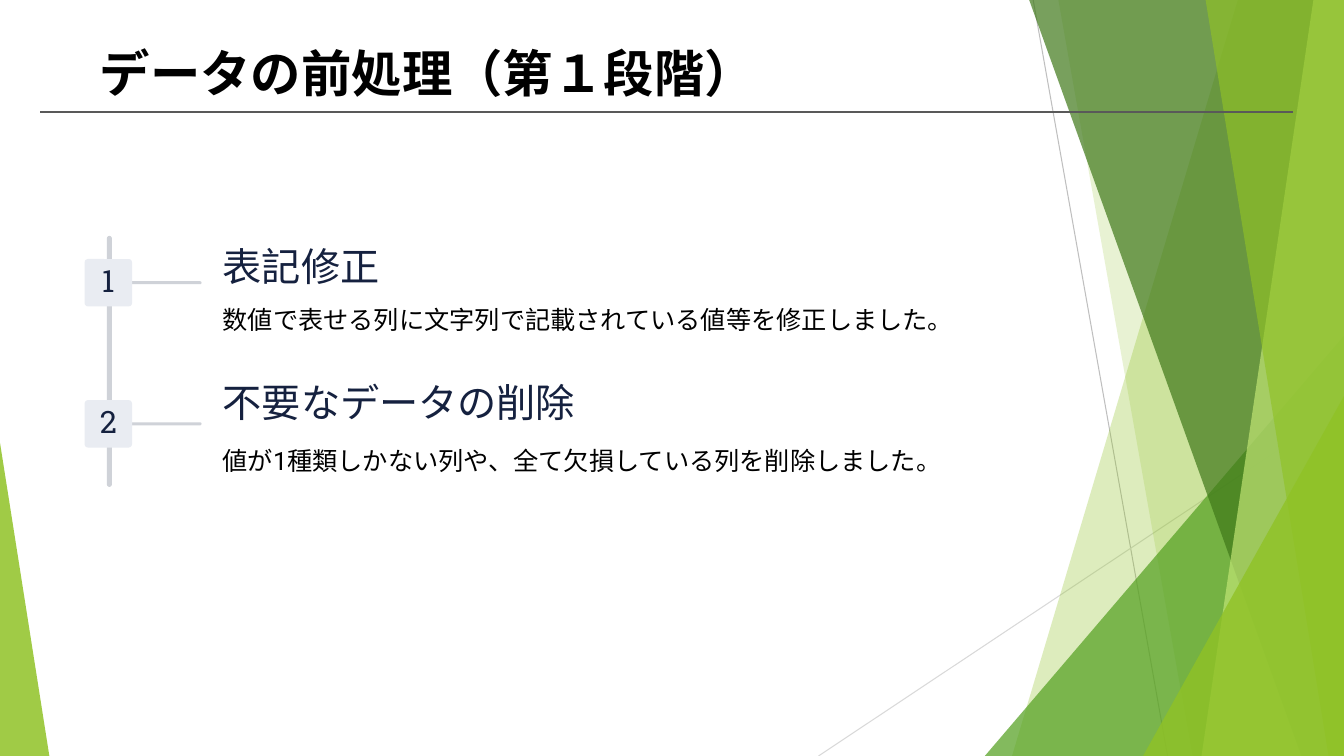
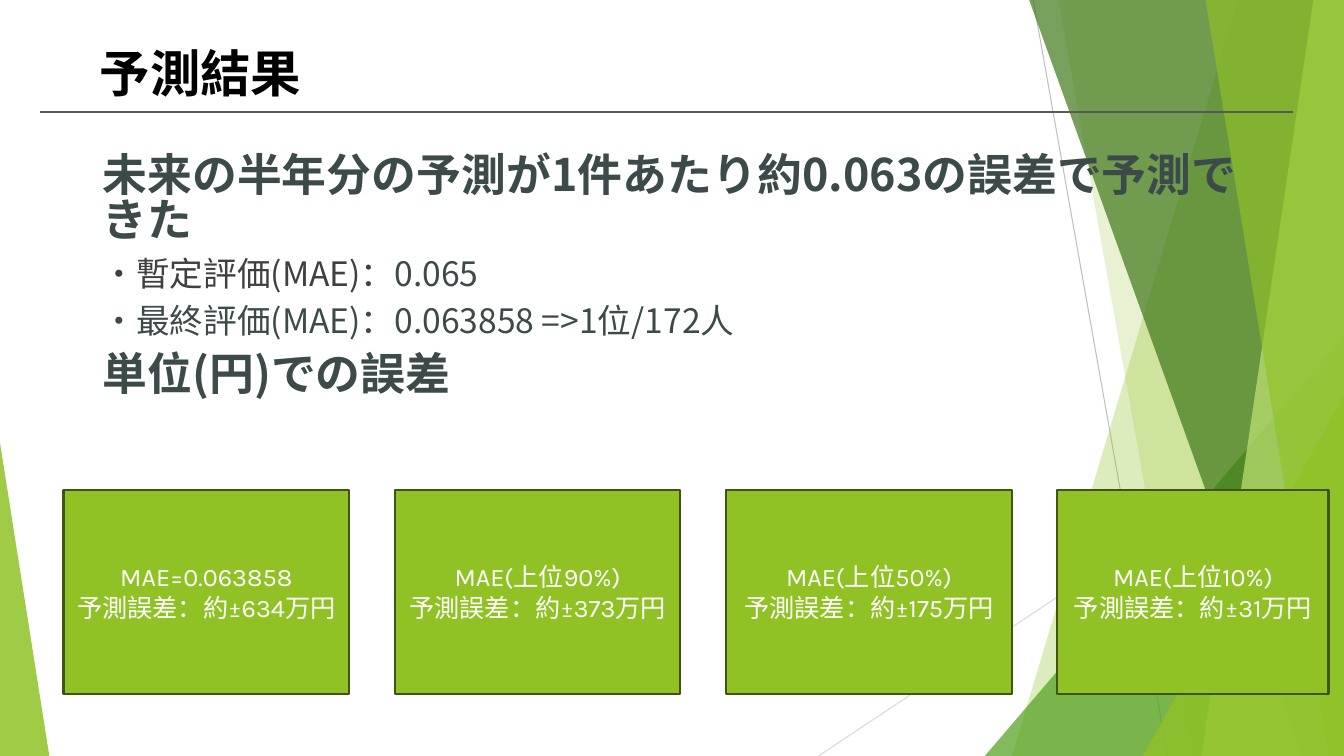
import lxml.etree
import pptx
import pptx.dml.color
import pptx.enum.shapes
import pptx.enum.text
import pptx.oxml.ns
import pptx.util

COLORS = {
    "green": "90C226", "leaf": "54A021", "forest": "3F7819", "lime": "C0E474",
    "moss": "3F5511", "silver": "BFBFBF", "mist": "D9D9D9", "rule": "595959",
    "rail": "CFD2D8", "badge": "E9ECF2", "navy": "15213F", "slate": "3C4A4A",
    "gray": "404040", "black": "000000", "white": "FFFFFF",
}
SHAPES = pptx.enum.shapes.MSO_SHAPE
ANCHOR = pptx.enum.text.MSO_ANCHOR
ALIGN = pptx.enum.text.PP_ALIGN

presentation = pptx.Presentation()
presentation.slide_width = pptx.util.Inches(13.33)
presentation.slide_height = pptx.util.Inches(7.5)
column = presentation.slide_width / 40
row = presentation.slide_height / 30


def add_block(slide, kind, left, top, width, height, color=None):
    area = [int(column * left), int(row * top), int(column * width), int(row * height)]
    if kind is None:
        shape = slide.shapes.add_textbox(*area)
    else:
        shape = slide.shapes.add_shape(kind, *area)
        shape.shadow.inherit = False
        shape.line.fill.background()
    if color:
        shape.fill.solid()
        shape.fill.fore_color.rgb = pptx.dml.color.RGBColor.from_string(COLORS[color])
    shape.text_frame.word_wrap = True
    return shape


def add_run(paragraph, text, size, font, color, bold=False):
    run = paragraph.add_run()
    run.text = text
    run.font.size = pptx.util.Pt(size)
    run.font.bold = bold
    run.font.color.rgb = pptx.dml.color.RGBColor.from_string(COLORS[color])
    run.font.name = font
    properties = run._r.get_or_add_rPr()
    lxml.etree.SubElement(properties, pptx.oxml.ns.qn("a:ea"), typeface=font)


backdrop = [
    ("line", (30.75, 0, 34.75, 30), "silver", 0.75),
    ("line", (40, 16.12, 24.36, 30), "mist", 0.75),
    ("band", (36.84, 30.12), "green", 30),
    ("band", (31.5, 35.49), "green", 20),
    ("wedge", (29.31, 13.32, 10.69, 1), "leaf", 72),
    ("band", (30.63, 38.73), "forest", 70),
    ("band", (39.09, 35.76), "lime", 70),
    ("band", (35.88, 39.54), "green", 65),
    ("wedge", (34.02, 15.72, 5.98, 1), "green", 80),
    ("wedge", (0, 17.56, 1.47, 0), "green", 85),
    ("line", (1.2, 4.44, 38.49, 4.44), "rule", 1.5),
]

slides = []
for title in ["データの前処理（第１段階）", "予測結果"]:
    slide = presentation.slides.add_slide(presentation.slide_layouts[6])
    slides.append(slide)
    for kind, place, color, amount in backdrop:
        rgb = pptx.dml.color.RGBColor.from_string(COLORS[color])
        if kind == "line":
            ends = [int(value * unit) for value, unit in zip(place, [column, row] * 2)]
            line = slide.shapes.add_connector(pptx.enum.shapes.MSO_CONNECTOR.STRAIGHT, *ends)
            line.line.color.rgb = rgb
            line.line.width = pptx.util.Pt(amount)
            lxml.etree.SubElement(line._element.spPr, pptx.oxml.ns.qn("a:effectLst"))
            continue
        if kind == "band":
            upper, lower = place
            builder = slide.shapes.build_freeform(column * upper, 0)
            corners = [(40, 0), (40, 30), (lower, 30)]
            builder.add_line_segments([(column * x, row * y) for x, y in corners])
            shape = builder.convert_to_shape()
            shape.shadow.inherit = False
            shape.line.fill.background()
        else:
            left, top, width, apex = place
            shape = add_block(slide, SHAPES.ISOSCELES_TRIANGLE, left, top, width, 30 - top)
            shape.adjustments[0] = apex
        shape.fill.solid()
        shape.fill.fore_color.rgb = rgb
        tint = shape._element.spPr.find(".//" + pptx.oxml.ns.qn("a:srgbClr"))
        lxml.etree.SubElement(tint, pptx.oxml.ns.qn("a:alpha"), val=str(amount * 1000))
    heading = add_block(slide, None, 2.67, 1.28, 34.5, 3.2).text_frame
    heading.vertical_anchor = ANCHOR.MIDDLE
    add_run(heading.paragraphs[0], title, 36, "Karla", "black", True)

steps_slide, results_slide = slides

rail = add_block(steps_slide, SHAPES.ROUNDED_RECTANGLE, 3.18, 9.36, 0.15, 9.96, "rail")
rail.adjustments[0] = 0.5
steps = [
    ("表記修正", 10.2, "数値で表せる列に文字列で記載されている値等を修正しました。"),
    ("不要なデータの削除", 15.6, "値が1種類しかない列や、全て欠損している列を削除しました。"),
]
for index, (name, name_top, detail) in enumerate(steps):
    top = 10.28 + 5.6 * index
    branch = add_block(steps_slide, SHAPES.ROUNDED_RECTANGLE, 3.84, top + 0.88, 2.16, 0.12, "rail")
    branch.adjustments[0] = 0.5
    badge = add_block(steps_slide, SHAPES.ROUNDED_RECTANGLE, 2.52, top, 1.41, 1.88, "badge")
    badge.adjustments[0] = 0.07
    name_box = add_block(steps_slide, None, 6.63, name_top, 31, 1.4)
    detail_box = add_block(steps_slide, None, 6.63, top + 1.7, 31, 2.8)
    for shape, text, size, spacing, font, color in [
        (badge, str(index + 1), 22, 22, "Roboto Slab", "navy"),
        (name_box, name, 28, 23, "Roboto Slab", "navy"),
        (detail_box, detail, 18, 23.5, "Roboto", "black"),
    ]:
        frame = shape.text_frame
        frame.margin_left = frame.margin_right = frame.margin_top = frame.margin_bottom = 0
        frame.vertical_anchor = ANCHOR.TOP
        frame.paragraphs[0].alignment = ALIGN.LEFT
        frame.paragraphs[0].line_spacing = pptx.util.Pt(spacing)
        add_run(frame.paragraphs[0], text, size, font, color)
    badge.text_frame.margin_top = int(row * 0.32)
    badge.text_frame.paragraphs[0].alignment = ALIGN.CENTER

findings = [
    [("未来の半年分の予測が1件あたり約0.063の誤差で予測できた", 32, "slate")],
    [("・暫定評価(MAE)：", 24, "gray"), ("0.065", 24, "slate")],
    [("・最終評価(MAE)：0.063858 =>1位/172人", 24, "slate")],
    [("単位(円)での誤差", 32, "slate")],
]
body = add_block(results_slide, None, 2.76, 6, 35.1, 12.8).text_frame
for index, runs in enumerate(findings):
    paragraph = body.add_paragraph() if index else body.paragraphs[0]
    paragraph.space_before = pptx.util.Pt(10 if index else 0)
    paragraph.line_spacing = 0.83
    for text, size, color in runs:
        add_run(paragraph, text, size, "Noto Sans CJK JP", color, size == 32)

errors = [
    ("MAE=0.063858", 634, 8.5),
    ("MAE(上位90%)", 373, 8.5),
    ("MAE(上位50%)", 175, 8.5),
    ("MAE(上位10%)", 31, 8.07),
]
for index, (label, error, width) in enumerate(errors):
    card = add_block(results_slide, SHAPES.RECTANGLE, 1.89 + 9.86 * index, 19.45, width, 8.08, "green")
    card.line.color.rgb = pptx.dml.color.RGBColor.from_string(COLORS["moss"])
    card.line.width = pptx.util.Pt(1.5)
    frame = card.text_frame
    frame.vertical_anchor = ANCHOR.MIDDLE
    for paragraph, text in [
        (frame.paragraphs[0], label),
        (frame.add_paragraph(), f"予測誤差：約±{error}万円"),
    ]:
        paragraph.alignment = ALIGN.CENTER
        add_run(paragraph, text, 18, "Karla", "white")

presentation.save("out.pptx")
